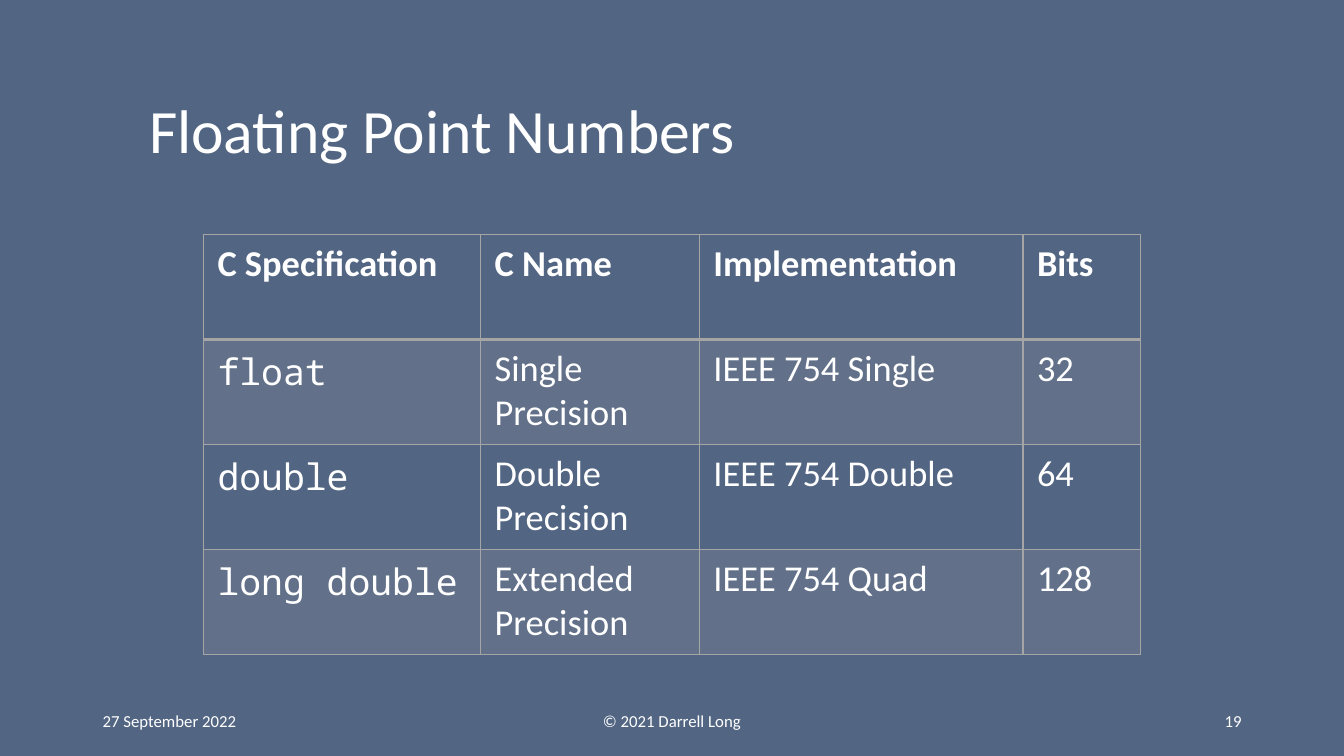
import pptx
import pptx.dml.color
import pptx.enum.text
import pptx.oxml
import pptx.oxml.ns
import pptx.util

Pt = pptx.util.Pt
ALIGN = pptx.enum.text.PP_ALIGN
ANCHOR = pptx.enum.text.MSO_ANCHOR

BACKGROUND, WHITE, GRAY = "526582", "FFFFFF", "A5A5A5"
BODY_FONT, CODE_FONT = "Calibri", "Noto Sans Mono"

TEXTS = [
    ("Floating Point Numbers", (99.36, 43.2, 776.16, 104.4), 44, ALIGN.LEFT),
    ("27 September 2022", (66.24, 500.4, 216, 28.8), 12, ALIGN.LEFT),
    ("© 2021 Darrell Long", (318, 500.4, 324, 28.8), 12, ALIGN.CENTER),
    ("19", (678, 500.4, 216, 28.8), 12, ALIGN.RIGHT),
]
ROWS = [
    ("C Specification", "C Name", "Implementation", "Bits"),
    ("float", "Single Precision", "IEEE 754 Single", "32"),
    ("double", "Double Precision", "IEEE 754 Double", "64"),
    ("long double", "Extended Precision", "IEEE 754 Quad", "128"),
]
COLUMN_WIDTHS = (198, 156.2, 231.2, 83.6)
ROW_HEIGHT = 75
TABLE_LEFT, TABLE_TOP = 145.4, 167.6


def color(hex_value):
    return pptx.dml.color.RGBColor.from_string(hex_value)


def style(paragraph, size, font_name=BODY_FONT, bold=False):
    for run in paragraph.runs:
        run.font.size = Pt(size)
        run.font.name = font_name
        run.font.bold = bold
        run.font.color.rgb = color(WHITE)


def add_text(slide, text, box, size, alignment):
    text_frame = slide.shapes.add_textbox(*map(Pt, box)).text_frame
    text_frame.word_wrap = True
    text_frame.vertical_anchor = ANCHOR.MIDDLE
    text_frame.text = text
    paragraph = text_frame.paragraphs[0]
    paragraph.alignment = alignment
    if size > 12:
        paragraph.line_spacing = 0.9
    style(paragraph, size)


def add_borders(cell, widths):
    properties = cell._tc.get_or_add_tcPr()
    for side, width in widths.items():
        properties.append(pptx.oxml.parse_xml(
            f'<a:ln{side} {pptx.oxml.ns.nsdecls("a")} w="{Pt(width)}"><a:solidFill>'
            f'<a:srgbClr val="{GRAY}"/></a:solidFill></a:ln{side}>'))


def fill_cell(cell, shaded):
    if not shaded:
        cell.fill.background()
        return
    cell.fill.solid()
    cell.fill.fore_color.rgb = color(GRAY)
    tint = cell._tc.tcPr.find(".//" + pptx.oxml.ns.qn("a:solidFill") + "[last()]")
    tint = cell._tc.tcPr.find(pptx.oxml.ns.qn("a:solidFill"))[0]
    tint.append(pptx.oxml.parse_xml(
        f'<a:alpha {pptx.oxml.ns.nsdecls("a")} val="20000"/>'))


def add_type_table(slide):
    frame = slide.shapes.add_table(
        len(ROWS), len(COLUMN_WIDTHS), Pt(TABLE_LEFT), Pt(TABLE_TOP),
        Pt(sum(COLUMN_WIDTHS)), Pt(ROW_HEIGHT * len(ROWS)))
    table = frame.table
    table.first_row = table.horz_banding = False
    for column, width in zip(table.columns, COLUMN_WIDTHS):
        column.width = Pt(width)
    for row_index, values in enumerate(ROWS):
        table.rows[row_index].height = Pt(ROW_HEIGHT)
        for column_index, value in enumerate(values):
            cell = table.cell(row_index, column_index)
            cell.margin_left = cell.margin_right = Pt(10)
            cell.margin_top = cell.margin_bottom = Pt(5)
            cell.text_frame.text = value
            is_header = row_index == 0
            is_code = column_index == 0 and not is_header
            style(cell.text_frame.paragraphs[0], 26,
                  CODE_FONT if is_code else BODY_FONT, is_header)
            add_borders(cell, {"L": 1, "R": 1,
                               "T": 2 if row_index == 1 else 1,
                               "B": 2 if is_header else 1})
            fill_cell(cell, row_index % 2 == 1)


def main():
    presentation = pptx.Presentation()
    presentation.slide_width, presentation.slide_height = Pt(960), Pt(540)
    slide = presentation.slides.add_slide(presentation.slide_layouts[6])
    slide.background.fill.solid()
    slide.background.fill.fore_color.rgb = color(BACKGROUND)
    title, *footers = TEXTS
    add_text(slide, *title)
    add_type_table(slide)
    for footer in footers:
        add_text(slide, *footer)
    presentation.save("out.pptx")


if __name__ == "__main__":
    main()
